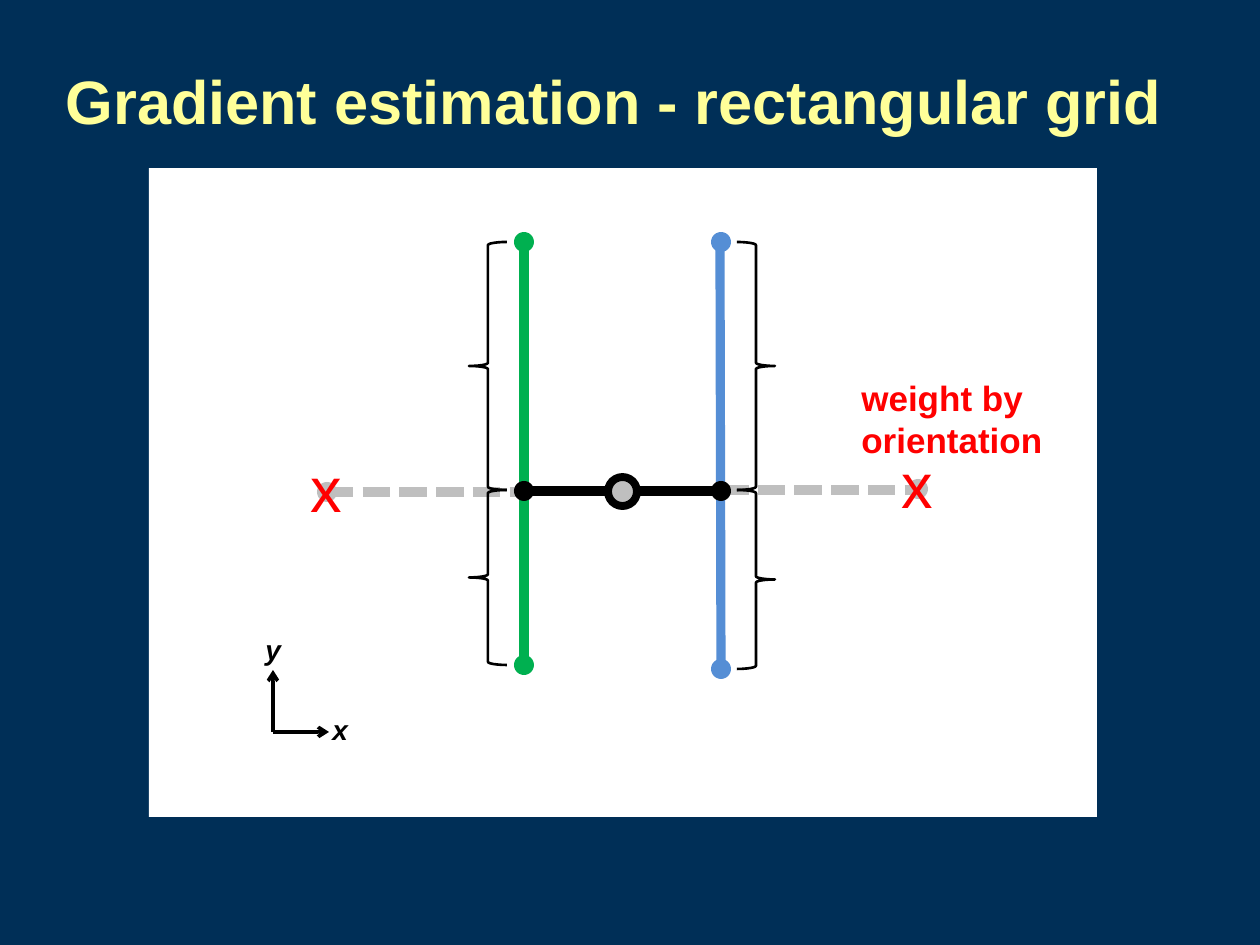
from lxml import etree
from pptx import Presentation
from pptx.dml.color import RGBColor
from pptx.enum import dml, shapes, text
from pptx.oxml.ns import qn
from pptx.util import Pt

PX = 914400 // 126
COLORS = {
    "navy": "002F57", "white": "FFFFFF", "yellow": "FFFF99", "black": "000000",
    "gray": "BFBFBF", "green": "00B050", "blue": "558ED5", "red": "FF0000",
}
RGB = {name: RGBColor.from_string(value) for name, value in COLORS.items()}
KIND = shapes.MSO_SHAPE

prs = Presentation()
prs.slide_width, prs.slide_height = 1260 * PX, 945 * PX
slide = prs.slides.add_slide(prs.slide_layouts[5])
slide.background.fill.solid()
slide.background.fill.fore_color.rgb = RGB["navy"]


def add_line(x1, y1, x2, y2, color, width=5.25):
    line = slide.shapes.add_connector(
        shapes.MSO_CONNECTOR.STRAIGHT, x1 * PX, y1 * PX, x2 * PX, y2 * PX)
    line.line.color.rgb = RGB[color]
    line.line.width = Pt(width)
    etree.SubElement(line._element.spPr, qn("a:effectLst"))
    return line


def add_figure(kind, left, top, width, height, fill=None, outline=None, weight=1.5):
    figure = slide.shapes.add_shape(kind, left * PX, top * PX, width * PX, height * PX)
    figure.shadow.inherit = False
    if fill:
        figure.fill.solid()
        figure.fill.fore_color.rgb = RGB[fill]
    else:
        figure.fill.background()
    if outline:
        figure.line.color.rgb = RGB[outline]
        figure.line.width = Pt(weight)
    else:
        figure.line.fill.background()
    return figure


title = slide.shapes.title
title.left, title.top, title.width, title.height = 53 * PX, 21 * PX, 1144 * PX, 158 * PX
title.text_frame.text = "Gradient estimation - rectangular grid"
title.text_frame.vertical_anchor = text.MSO_ANCHOR.MIDDLE
heading = title.text_frame.paragraphs[0]
heading.alignment = text.PP_ALIGN.LEFT
heading.font.name, heading.font.size, heading.font.bold = "Arial", Pt(35), True
heading.font.color.rgb = RGB["yellow"]

add_figure(KIND.RECTANGLE, 149, 168, 948, 649, "white")

# Dashed extensions, the two grid edges and the link between them
left_x, right_x, mid_y = 524, 721, 491
for x1, x2, y in [(right_x, 918, 490), (326, left_x, 492)]:
    extension = add_line(x1, y, x2, y, "gray")
    extension.line.dash_style = dml.MSO_LINE.SQUARE_DOT
add_line(left_x, 660, left_x, 239, "green")
add_line(right_x, 663, right_x - 1, 246, "blue")
add_line(left_x, mid_y, right_x, mid_y, "black")

for x, y, color in [(left_x, 491, "black"), (right_x, 491, "black"),
                    (327, 492, "gray"), (918, 489, "gray")]:
    add_figure(KIND.OVAL, x - 10, y - 10, 20, 20, color)

# Axes
for x, y in [(273, 670), (329, 732)]:
    axis = add_line(273, 732, x, y, "black", 2)
    etree.SubElement(axis.line._get_or_add_ln(), qn("a:tailEnd"), type="arrow")

# Braces above and below the link, with the end points of each edge
for kind, brace_x, edge_x, bottom, color in [
        (KIND.RIGHT_BRACE, 737, right_x, 669, "blue"),
        (KIND.LEFT_BRACE, 469, left_x, 665, "green")]:
    for top, end in [(242, 490), (490, bottom)]:
        brace = add_figure(kind, brace_x, top, 38, end - top, outline="black")
        brace.adjustments[0] = 0.083
    for y in (242, bottom):
        add_figure(KIND.OVAL, edge_x - 10, y - 10, 20, 20, color)

add_figure(KIND.OVAL, 608, 477, 29, 29, "gray", "black", 4.5)

TOP, MIDDLE = text.MSO_ANCHOR.TOP, text.MSO_ANCHOR.MIDDLE
LEFT, CENTER = text.PP_ALIGN.LEFT, text.PP_ALIGN.CENTER
labels = [
    # left, top, width, height, lines, size, color, bold, italic, anchor, alignment
    (320, 706, 48, 47, ["x"], 16, "black", True, True, TOP, LEFT),
    (253, 626, 48, 47, ["y"], 16, "black", True, True, TOP, LEFT),
    (284, 443, 84, 89, ["x"], 36, "red", False, False, MIDDLE, CENTER),
    (875, 439, 84, 89, ["x"], 36, "red", False, False, MIDDLE, CENTER),
    (849, 370, 212, 97, ["weight by", "orientation"], 20, "red", True, False, TOP, LEFT),
]
for left, top, width, height, lines, size, color, bold, italic, anchor, align in labels:
    label = slide.shapes.add_textbox(left * PX, top * PX, width * PX, height * PX)
    frame = label.text_frame
    frame.word_wrap = True
    frame.auto_size = text.MSO_AUTO_SIZE.SHAPE_TO_FIT_TEXT
    frame.vertical_anchor = anchor
    frame.text = "\n".join(lines)
    for paragraph in frame.paragraphs:
        paragraph.alignment = align
        font = paragraph.font
        font.name, font.size, font.bold, font.italic = "Arial", Pt(size), bold, italic
        font.color.rgb = RGB[color]

prs.save("out.pptx")
